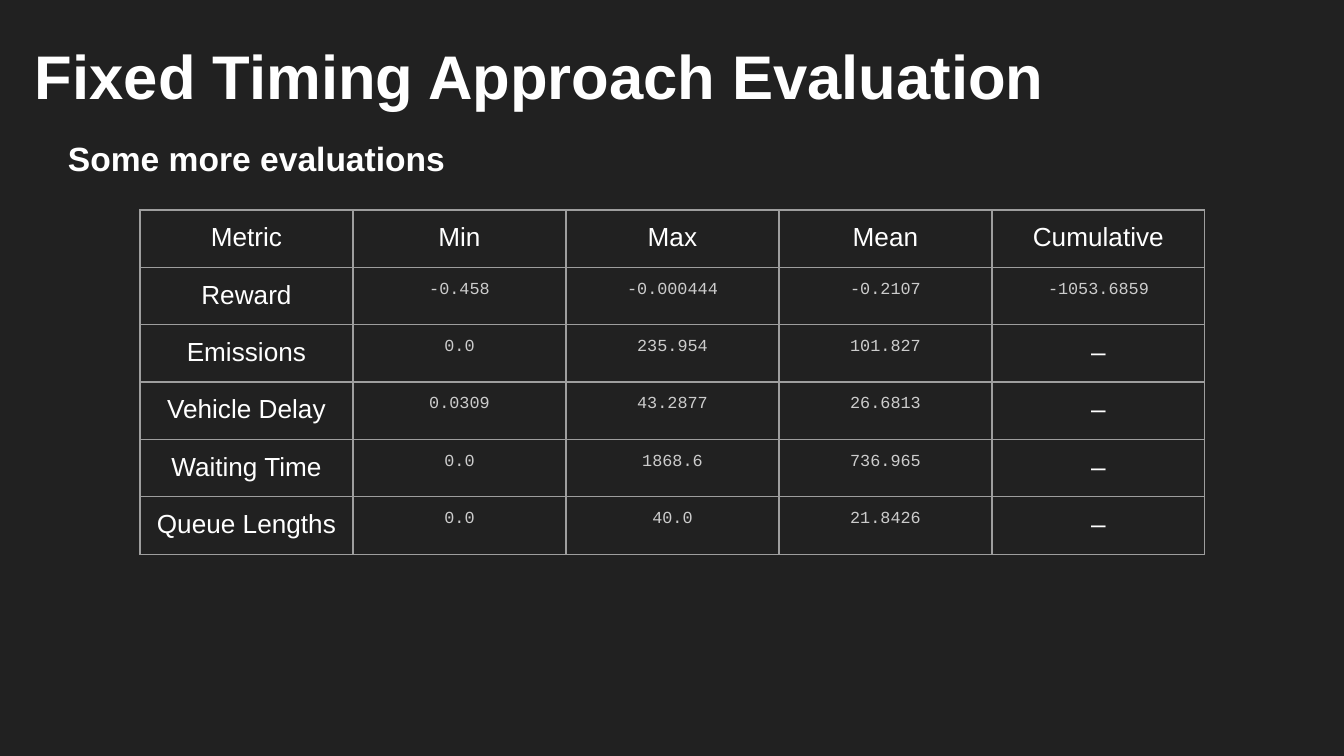
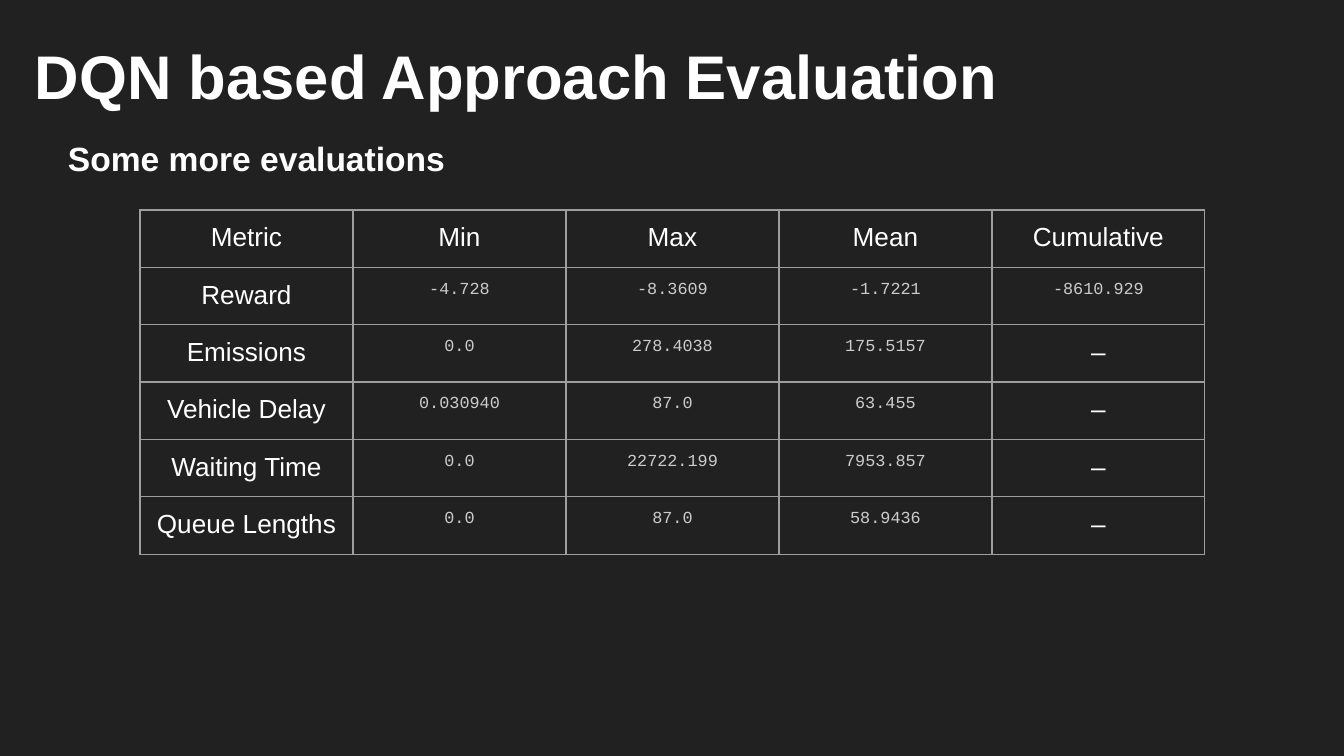
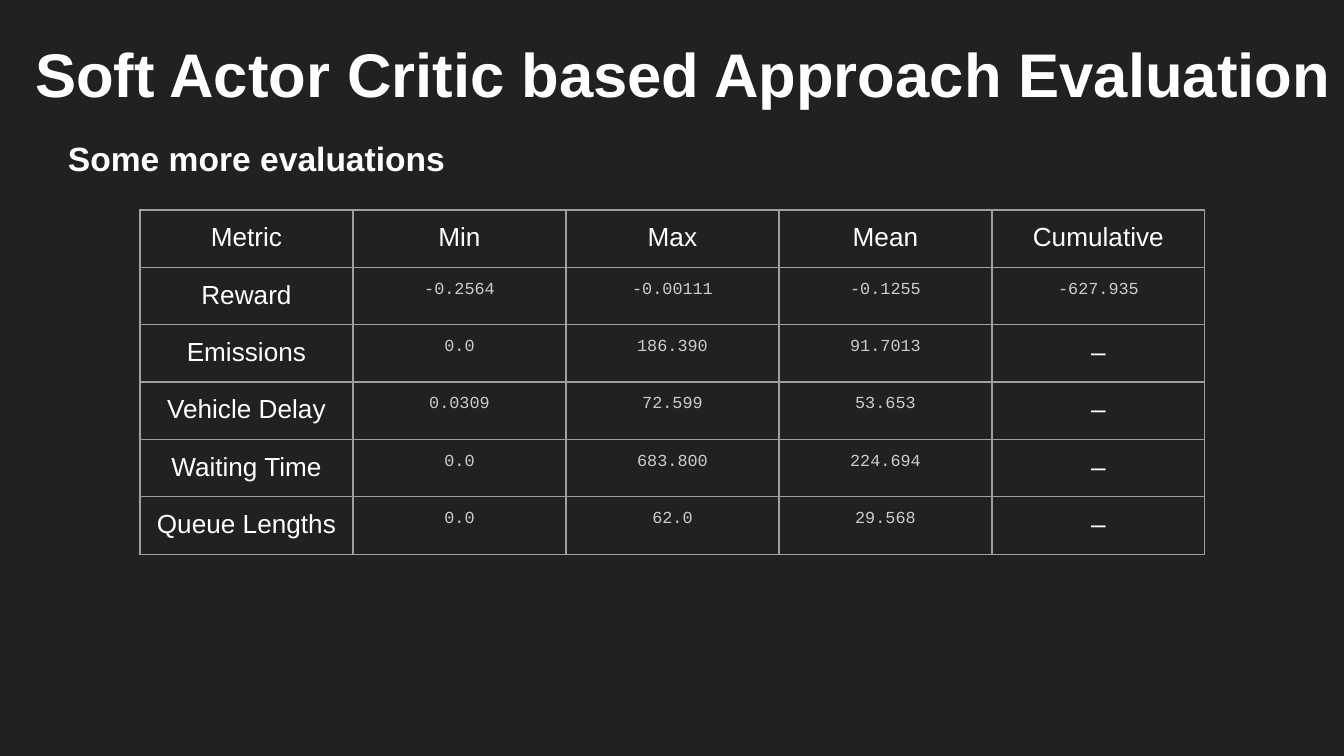
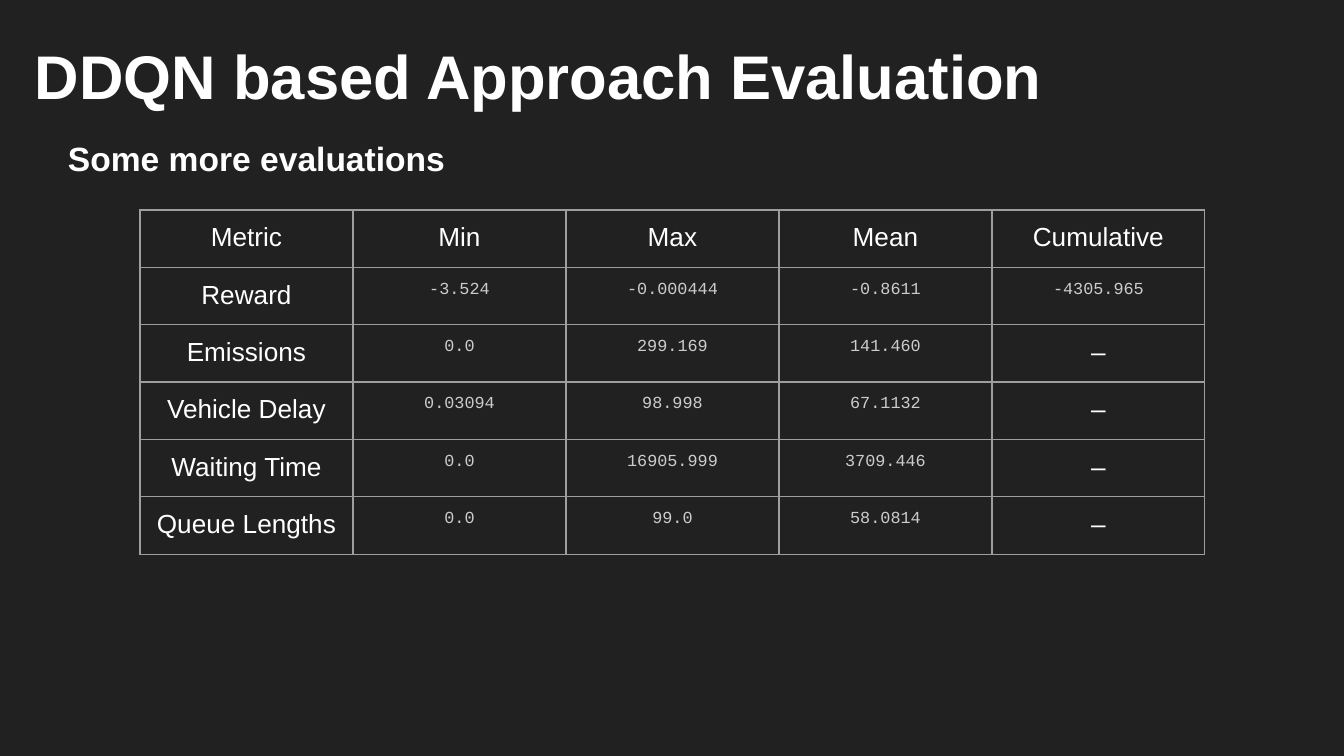
from dataclasses import dataclass

from lxml.etree import SubElement
from pptx import Presentation
from pptx.dml.color import RGBColor
from pptx.enum.text import MSO_ANCHOR as Anchor, PP_ALIGN as Align
from pptx.oxml.ns import qn
from pptx.slide import Slide
from pptx.table import _Cell as Cell
from pptx.text.text import TextFrame
from pptx.util import Emu, Pt

# Shared style
PX_PER_INCH = 134.4
DARK, WHITE, SILVER, RULE = "212121", "FFFFFF", "CCCCCC", "9E9E9E"
SANS, MONO = "Arial", "Courier New"
INSET = 13
COLUMN_WIDTH, ROW_HEIGHT = 213, 56
SUBTITLE = "Some more evaluations"
HEADINGS = ("Metric", "Min", "Max", "Mean", "Cumulative")
METRICS = ("Reward", "Emissions", "Vehicle Delay", "Waiting Time", "Queue Lengths")
DASH = "–"


@dataclass(frozen=True)
class Area:
    left: int
    top: int
    width: int
    height: int


TITLE_AREA = Area(22, 0, 1308, 149)
LONG_TITLE_AREA = Area(22, -17, 1336, 180)
SUBTITLE_AREA = Area(55, 125, 1274, 700)
TABLE_AREA = Area(140, 210, COLUMN_WIDTH * len(HEADINGS),
                  ROW_HEIGHT * (len(METRICS) + 1))


@dataclass(frozen=True)
class Evaluation:
    title: str
    cumulative_reward: str
    values: tuple[tuple[str, str, str], ...]  # min, max and mean of each metric
    title_area: Area = TITLE_AREA

    def rows(self) -> list[tuple[str, ...]]:
        totals = [self.cumulative_reward] + [DASH] * (len(METRICS) - 1)
        body = [(metric, *values, total)
                for metric, values, total in zip(METRICS, self.values, totals)]
        return [HEADINGS, *body]


EVALUATIONS = (
    Evaluation("Fixed Timing Approach Evaluation", "-1053.6859", (
        ("-0.458", "-0.000444", "-0.2107"),
        ("0.0", "235.954", "101.827"),
        ("0.0309", "43.2877", "26.6813"),
        ("0.0", "1868.6", "736.965"),
        ("0.0", "40.0", "21.8426"),
    )),
    Evaluation("DQN based Approach Evaluation", "-8610.929", (
        ("-4.728", "-8.3609", "-1.7221"),
        ("0.0", "278.4038", "175.5157"),
        ("0.030940", "87.0", "63.455"),
        ("0.0", "22722.199", "7953.857"),
        ("0.0", "87.0", "58.9436"),
    )),
    Evaluation("Soft Actor Critic based Approach Evaluation", "-627.935", (
        ("-0.2564", "-0.00111", "-0.1255"),
        ("0.0", "186.390", "91.7013"),
        ("0.0309", "72.599", "53.653"),
        ("0.0", "683.800", "224.694"),
        ("0.0", "62.0", "29.568"),
    ), LONG_TITLE_AREA),
    Evaluation("DDQN based Approach Evaluation", "-4305.965", (
        ("-3.524", "-0.000444", "-0.8611"),
        ("0.0", "299.169", "141.460"),
        ("0.03094", "98.998", "67.1132"),
        ("0.0", "16905.999", "3709.446"),
        ("0.0", "99.0", "58.0814"),
    )),
)


# Helpers
def px(length: int) -> Emu:
    return Emu(round(length * 914400 / PX_PER_INCH))


def colour(value: str) -> RGBColor:
    return RGBColor.from_string(value)


def write(frame: TextFrame, text: str, *, size: int, font: str = SANS,
          ink: str = WHITE, bold: bool = False, align: Align = Align.LEFT,
          space_after: int = 0) -> None:
    para = frame.paragraphs[0]
    para.alignment = align
    para.space_after = Pt(space_after)
    span = para.add_run()
    span.text = text
    span.font.name = font
    span.font.size = Pt(size)
    span.font.bold = bold
    span.font.color.rgb = colour(ink)


def set_insets(holder: TextFrame | Cell) -> None:
    holder.margin_left = holder.margin_right = px(INSET)
    holder.margin_top = holder.margin_bottom = px(INSET)


def add_text(page: Slide, area: Area, text: str, *, anchor: Anchor = Anchor.TOP,
             **style) -> None:
    box = page.shapes.add_textbox(px(area.left), px(area.top),
                                  px(area.width), px(area.height))
    frame = box.text_frame
    frame.word_wrap = True
    frame.vertical_anchor = anchor
    set_insets(frame)
    write(frame, text, **style)


def add_borders(cell: Cell) -> None:
    properties = cell._tc.get_or_add_tcPr()
    for index, side in enumerate(("a:lnL", "a:lnR", "a:lnT", "a:lnB")):
        line = SubElement(properties, qn(side), w=str(Pt(0.75)))
        fill = SubElement(line, qn("a:solidFill"))
        SubElement(fill, qn("a:srgbClr"), val=RULE)
        properties.insert(index, line)  # borders come before the cell fill


def add_results(page: Slide, rows: list[tuple[str, ...]]) -> None:
    area = TABLE_AREA
    table = page.shapes.add_table(len(rows), len(HEADINGS), px(area.left), px(area.top),
                                  px(area.width), px(area.height)).table
    table.first_row = table.horz_banding = False
    for column in table.columns:
        column.width = px(COLUMN_WIDTH)
    for row_index, texts in enumerate(rows):
        table.rows[row_index].height = px(ROW_HEIGHT)
        for column_index, text in enumerate(texts):
            cell = table.cell(row_index, column_index)
            cell.fill.background()
            set_insets(cell)
            add_borders(cell)
            is_value = row_index > 0 and column_index > 0 and text != DASH
            style = (dict(size=9, font=MONO, ink=SILVER) if is_value
                     else dict(size=14))
            write(cell.text_frame, text, align=Align.CENTER, **style)


# Slides
def add_evaluation(deck: Presentation, evaluation: Evaluation) -> None:
    page = deck.slides.add_slide(deck.slide_layouts[6])
    page.background.fill.solid()
    page.background.fill.fore_color.rgb = colour(DARK)
    add_text(page, evaluation.title_area, evaluation.title,
             anchor=Anchor.MIDDLE, size=33, bold=True)
    add_text(page, SUBTITLE_AREA, SUBTITLE, size=18, bold=True, space_after=6)
    add_results(page, evaluation.rows())


def main() -> None:
    deck = Presentation()
    deck.slide_width, deck.slide_height = px(1344), px(756)
    for evaluation in EVALUATIONS:
        add_evaluation(deck, evaluation)
    deck.save("out.pptx")


if __name__ == "__main__":
    main()
